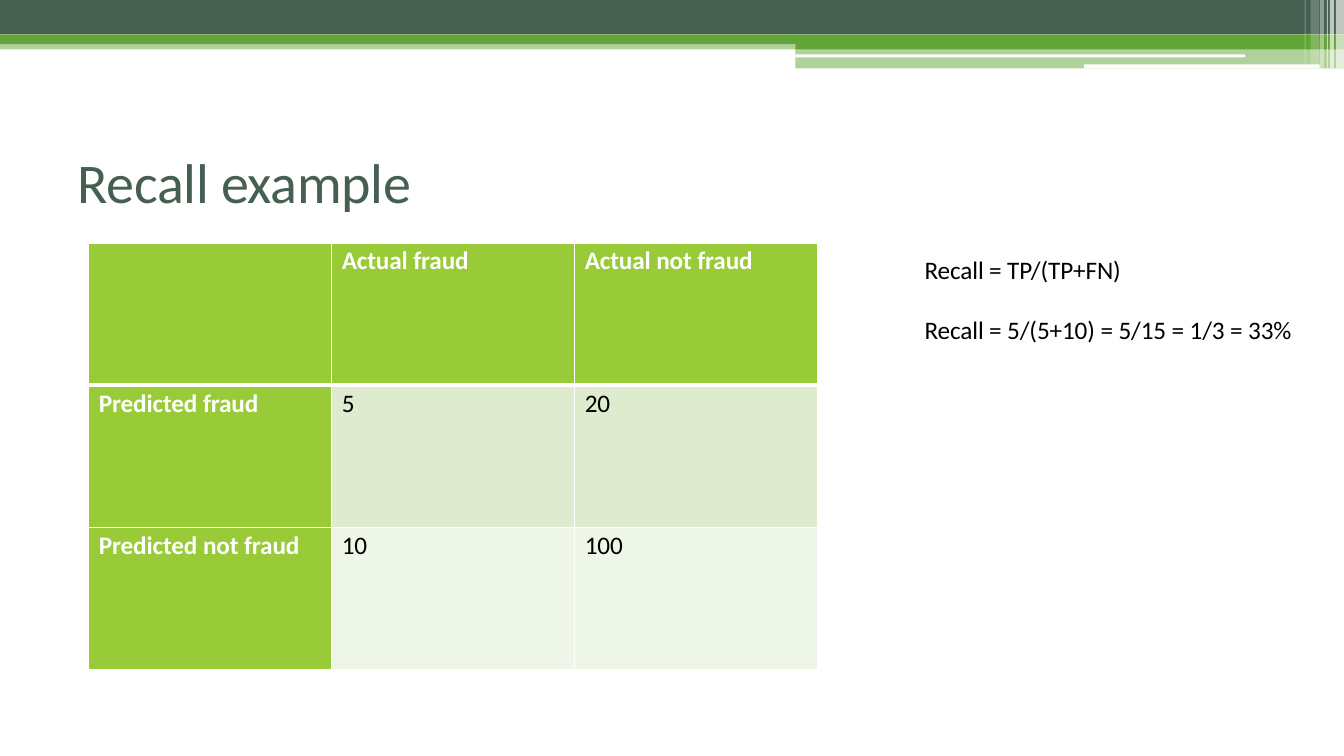
from typing import NamedTuple

from lxml.etree import SubElement
from pptx import Presentation
from pptx.dml.color import RGBColor
from pptx.enum.shapes import MSO_SHAPE as Shape
from pptx.oxml.ns import qn
from pptx.util import Inches, Pt

WHITE = RGBColor(0xFF, 0xFF, 0xFF)
BLACK = RGBColor(0, 0, 0)
SLATE = RGBColor(0x45, 0x5F, 0x51)
GREEN = RGBColor(0x62, 0xA4, 0x37)
LIME = RGBColor(0x99, 0xCA, 0x38)
PALE = RGBColor(0xDE, 0xEB, 0xCE)
PALEST = RGBColor(0xEE, 0xF6, 0xE8)
FONT = "Calibri"
WIDTH, HEIGHT = 13.33, 7.5


class Band(NamedTuple):
    left: float
    top: float
    width: float
    height: float
    color: RGBColor
    opacity: int = 100


BANDS = [
    Band(0, 0.44, 7.89, 0.05, GREEN, 50),
    Band(0, 0, WIDTH, 0.34, SLATE),
    Band(7.89, 0.48, 5.44, 0.2, GREEN, 50),
    Band(7.89, 0.54, 4.46, 0.03, WHITE),
    Band(10.75, 0.64, 2.34, 0.04, WHITE),
    Band(13.19, 0, 0.04, 0.68, WHITE, 65),
    Band(13.25, 0, 0.08, 0.68, WHITE, 65),
    Band(13.16, 0, 0.01, 0.68, WHITE, 60),
    Band(13.09, 0, 0.04, 0.68, WHITE, 40),
    Band(13, 0, 0.08, 0.64, WHITE, 20),
    Band(12.94, 0, 0.01, 0.64, WHITE, 30),
]
STEP = [(0, 0.34), (WIDTH, 0.34), (WIDTH, 0.49), (7.89, 0.49), (7.89, 0.44), (0, 0.44)]

MATRIX = [
    ["", "Actual fraud", "Actual not fraud"],
    ["Predicted fraud", "5", "20"],
    ["Predicted not fraud", "10", "100"],
]
ROW_FILLS = [LIME, PALE, PALEST]
CELL_WIDTH, CELL_HEIGHT = 2.41, 1.41


def paint(sp, color: RGBColor, opacity: int = 100) -> None:
    sp.shadow.inherit = False
    sp.line.fill.background()
    sp.fill.solid()
    sp.fill.fore_color.rgb = color
    if opacity < 100:
        clr = sp._element.spPr.find(qn("a:solidFill"))[0]
        SubElement(clr, qn("a:alpha"), val=str(opacity * 1000))


def add_banner(slide) -> None:
    corners = [(Inches(x), Inches(y)) for x, y in STEP]
    builder = slide.shapes.build_freeform(*corners[0])
    builder.add_line_segments(corners[1:])
    paint(builder.convert_to_shape(), GREEN)
    for band in BANDS:
        box = [Inches(v) for v in band[:4]]
        paint(slide.shapes.add_shape(Shape.RECTANGLE, *box), band.color, band.opacity)


def style_runs(p, size: int, color: RGBColor, bold: bool = False) -> None:
    """Format the runs, with letters set slightly tight in proportion to size."""
    for r in p.runs:
        r.font.name = FONT
        r.font.size = Pt(size)
        r.font.color.rgb = color
        r.font.bold = bold
        r._r.get_or_add_rPr().set("spc", str(-size // 2))


def add_text(slide, left: float, top: float, width: float, height: float,
             lines: list[str], size: int, color: RGBColor, gap: float = 0) -> None:
    """Add a text box with `gap` points between its paragraphs."""
    sp = slide.shapes.add_textbox(Inches(left), Inches(top), Inches(width), Inches(height))
    tf = sp.text_frame
    tf.word_wrap = True
    tf.margin_left = tf.margin_top = Inches(0.01)
    tf.margin_right = tf.margin_bottom = 0
    tf.text = "\n".join(lines)
    for p in tf.paragraphs:
        style_runs(p, size, color)
    for p in tf.paragraphs[1:]:
        p.space_before = Pt(gap)


def set_borders(cell, top: float, bottom: float) -> None:
    """Draw white cell borders; widths are in points."""
    tc_pr = cell._tc.get_or_add_tcPr()
    for i, (side, width) in enumerate([("L", 1), ("R", 1), ("T", top), ("B", bottom)]):
        ln = SubElement(tc_pr, qn(f"a:ln{side}"), w=str(Pt(width)))
        fill = SubElement(ln, qn("a:solidFill"))
        SubElement(fill, qn("a:srgbClr"), val=str(WHITE))
        tc_pr.insert(i, ln)


def add_matrix(slide) -> None:
    n = len(MATRIX)
    table = slide.shapes.add_table(n, n, Inches(0.88), Inches(2.41),
                                   Inches(n * CELL_WIDTH), Inches(n * CELL_HEIGHT)).table
    for i, row in enumerate(MATRIX):
        table.rows[i].height = Inches(CELL_HEIGHT)
        table.columns[i].width = Inches(CELL_WIDTH)
        for j, label in enumerate(row):
            cell = table.cell(i, j)
            heading = i == 0 or j == 0
            cell.fill.solid()
            cell.fill.fore_color.rgb = LIME if heading else ROW_FILLS[i]
            set_borders(cell, top=3 if i == 1 else 1, bottom=3 if i == 0 else 1)
            cell.margin_left = Inches(0.1)
            cell.margin_top = Inches(0.03)
            cell.margin_right = cell.margin_bottom = 0
            cell.text = label
            style_runs(cell.text_frame.paragraphs[0], 18, WHITE if heading else BLACK, heading)


def main() -> None:
    prs = Presentation()
    prs.slide_width, prs.slide_height = Inches(WIDTH), Inches(HEIGHT)
    slide = prs.slides.add_slide(prs.slide_layouts[6])
    add_banner(slide)
    add_text(slide, 0.76, 1.45, 3.37, 0.69, ["Recall example"], 40, SLATE)
    add_matrix(slide)
    add_text(slide, 9.16, 2.51, 3.72, 0.93,
             ["Recall = TP/(TP+FN)", "Recall = 5/(5+10) = 5/15 = 1/3 = 33%"],
             18, BLACK, gap=21.5)
    prs.save("out.pptx")


if __name__ == "__main__":
    main()
